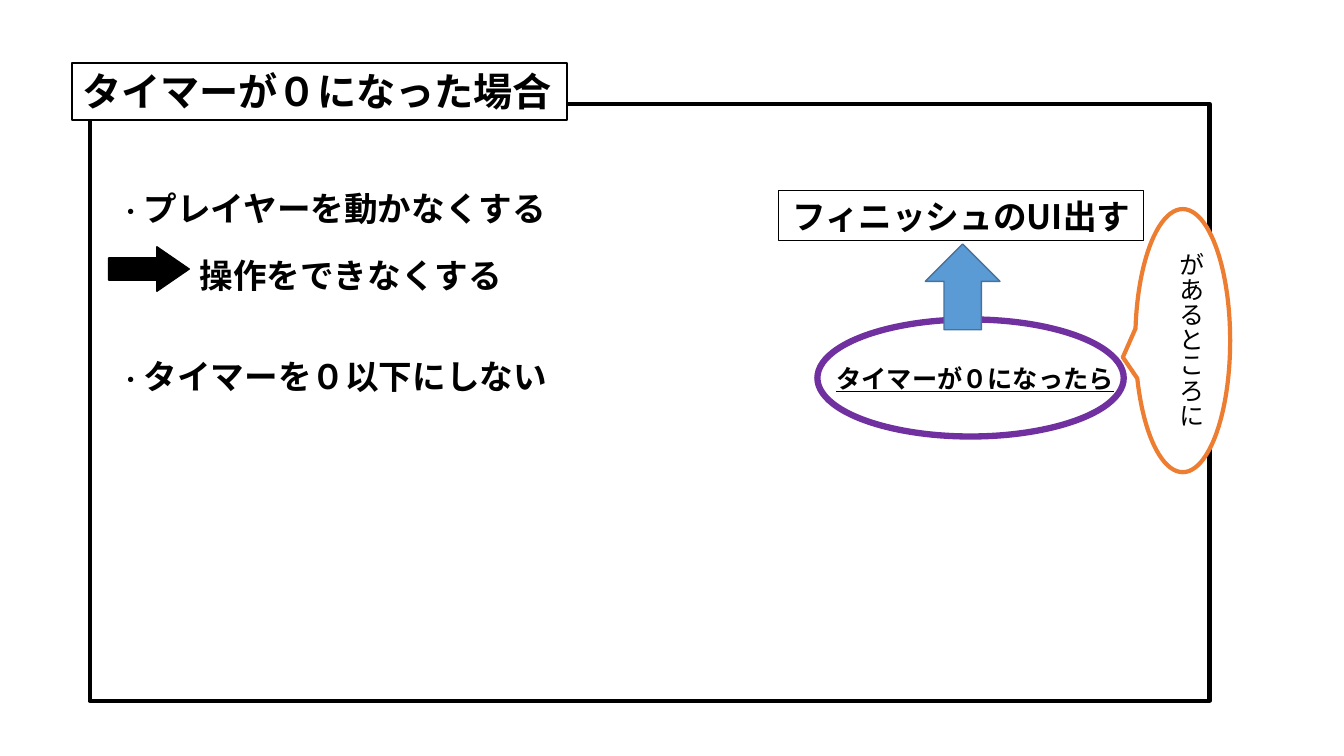
from pptx import Presentation
from pptx.dml.color import RGBColor
from pptx.enum.shapes import MSO_SHAPE
from pptx.enum.text import MSO_ANCHOR, MSO_AUTO_SIZE, PP_ALIGN
from pptx.oxml.ns import qn
from pptx.util import Cm, Pt

RECTANGLE, OVAL = MSO_SHAPE.RECTANGLE, MSO_SHAPE.OVAL
CALLOUT = MSO_SHAPE.OVAL_CALLOUT
DOWN_ARROW, RIGHT_ARROW = MSO_SHAPE.DOWN_ARROW, MSO_SHAPE.RIGHT_ARROW
TOP, FIXED = MSO_ANCHOR.TOP, MSO_AUTO_SIZE.NONE
LEFT, CENTER = PP_ALIGN.LEFT, PP_ALIGN.CENTER

BLACK = RGBColor(0x00, 0x00, 0x00)
WHITE = RGBColor(0xFF, 0xFF, 0xFF)
PURPLE = RGBColor(0x70, 0x30, 0xA0)
ORANGE = RGBColor(0xED, 0x7D, 0x31)
BLUE = RGBColor(0x5B, 0x9B, 0xD5)
DARK_BLUE = RGBColor(0x43, 0x73, 0x9E)
FONT = "Noto Sans CJK JP"

TITLE = "タイマーが０になった場合"
BULLET = "・"
RULES = [("プレイヤーを動かなくする", 4.62), ("タイマーを０以下にしない", 8.84)]
CONSEQUENCE = "操作をできなくする"
TRIGGER = "タイマーが０になったら"
RESULT = "フィニッシュのUI出す"
CALLOUT_NOTE = "があるところに"

LIST_LEFT = 2.74
LINE_HEIGHT = 1.27


def place(shape, left, top, width, height):
    shape.left, shape.top = Cm(left), Cm(top)
    shape.width, shape.height = Cm(width), Cm(height)


def paint(shape, fill, line, weight):
    if fill is None:
        shape.fill.background()
    else:
        shape.fill.solid()
        shape.fill.fore_color.rgb = fill
    shape.line.color.rgb = line
    shape.line.width = Pt(weight)


def add_figure(slide, kind, area, fill, line, weight, rotation=0, adjustments=()):
    shape = slide.shapes.add_shape(kind, *map(Cm, area))
    shape.shadow.inherit = False
    paint(shape, fill, line, weight)
    shape.rotation = rotation
    for index, value in enumerate(adjustments):
        shape.adjustments[index] = value
    return shape


def write(shape, text, size=24, bold=True, underline=None, align=LEFT,
          bullet="", wrap=True, vertical=False, tight=False):
    """Fill a shape with one paragraph; tight drops the margins at the line's ends."""
    frame = shape.text_frame
    frame.auto_size, frame.word_wrap = FIXED, wrap
    frame.vertical_anchor = TOP
    if vertical:
        frame._txBody.bodyPr.set("vert", "eaVert")
    if tight and vertical:
        frame.margin_top = frame.margin_bottom = 0
    elif tight:
        frame.margin_left = frame.margin_right = 0
    para = frame.paragraphs[0]
    para.alignment = align
    para.line_spacing = 1.0
    for words, points, strong in [(bullet, 18, False), (text, size, bold)]:
        if not words:
            continue
        span = para.add_run()
        span.text = words
        font = span.font
        font.name, font.size, font.bold = FONT, Pt(points), strong
        font.underline = underline
        font.color.rgb = BLACK
        latin = font._element.find(qn("a:latin"))
        east_asian = latin.makeelement(qn("a:ea"), {"typeface": FONT})
        latin.addnext(east_asian)


def add_text(slide, area, text, **style):
    write(slide.shapes.add_textbox(*map(Cm, area)), text, **style)


def build(slide):
    add_figure(slide, OVAL, (20.6, 8.05, 7.72, 2.95), WHITE, PURPLE, 4.5)
    add_text(slide, (20.83, 9.02, 7.72, 1.02), TRIGGER, size=18, underline=True)
    add_figure(slide, RECTANGLE, (2.26, 2.62, 28.22, 15.04), None, BLACK, 3)
    callout = add_figure(slide, CALLOUT, (26.49, 7.39, 6.63, 2.39), WHITE, ORANGE, 3,
                         rotation=90, adjustments=(0.063, 0.631))

    title = slide.shapes.title
    place(title, 1.82, 1.58, 12.47, 1.45)
    paint(title, WHITE, BLACK, 1.5)
    write(title, TITLE, size=28, wrap=False)
    callout.element.addnext(title.element)  # bring the heading above the frame

    result = add_figure(slide, RECTANGLE, (19.63, 4.8, 9.19, LINE_HEIGHT),
                        None, BLACK, 0.75)
    write(result, RESULT, align=CENTER, wrap=False, tight=True)
    add_figure(slide, DOWN_ARROW, (23.32, 6.15, 1.88, 2.16), BLUE, DARK_BLUE, 1,
               rotation=180)
    add_text(slide, (29.26, 6.35, 1.27, 4.85), CALLOUT_NOTE, size=18, bold=False,
             vertical=True, tight=True)

    for rule, top in RULES:
        add_text(slide, (LIST_LEFT, top, 11.53, LINE_HEIGHT), rule, bullet=BULLET)
    add_figure(slide, RIGHT_ARROW, (LIST_LEFT, 6.22, 2.03, 1.12), BLACK, BLACK, 1,
               adjustments=(0.5, 0.727))
    add_text(slide, (4.78, 6.3, 10.01, LINE_HEIGHT), CONSEQUENCE)


def main():
    deck = Presentation()
    deck.slide_width, deck.slide_height = Cm(33.87), Cm(19.05)
    build(deck.slides.add_slide(deck.slide_layouts.get_by_name("Title Only")))
    deck.save("out.pptx")


if __name__ == "__main__":
    main()
